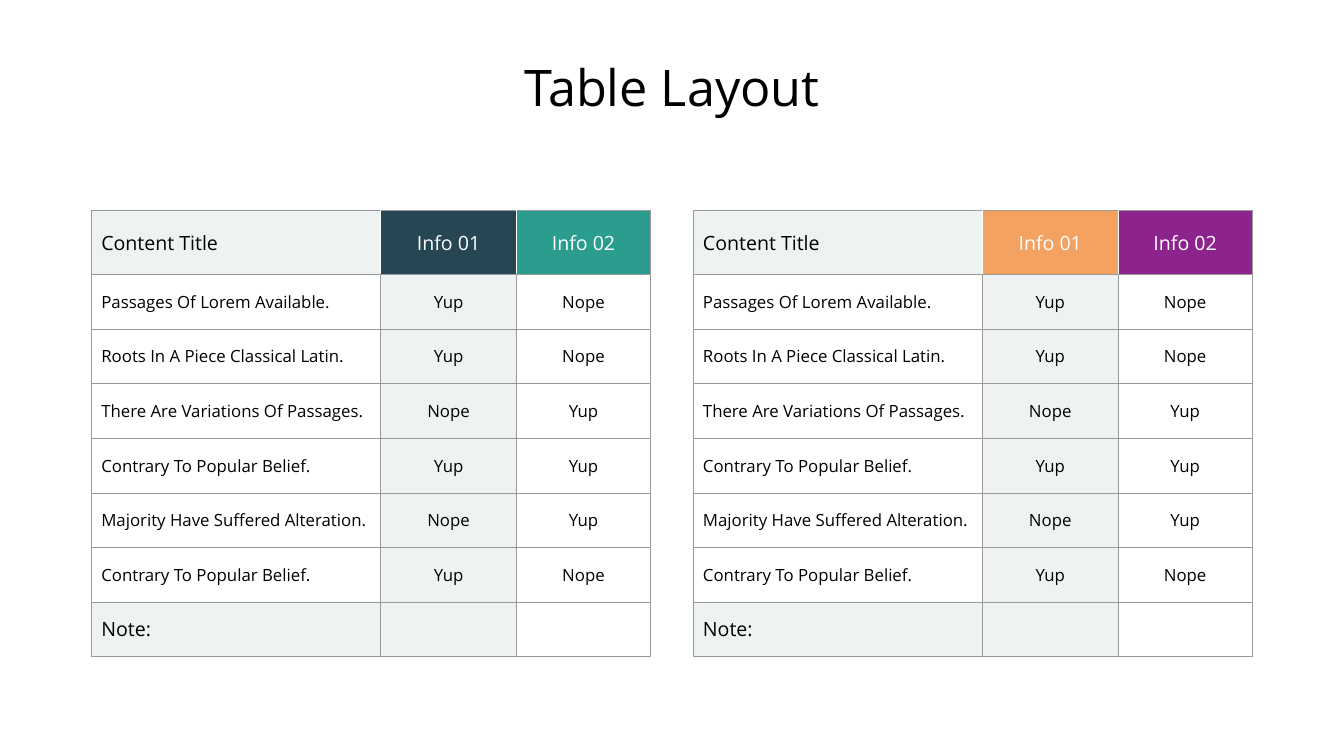
from dataclasses import dataclass

from lxml.etree import SubElement as Sub
from pptx import Presentation
from pptx.dml.color import RGBColor as Rgb
from pptx.enum.text import MSO_ANCHOR as Anchor, PP_ALIGN as Align
from pptx.oxml.ns import qn
from pptx.util import Pt

PX = 9525


@dataclass(frozen=True)
class Theme:
    face: str = "Open Sans"
    ink: str = "000000"
    white: str = "FFFFFF"
    pale: str = "EFF2F3"
    rule: str = "999999"
    navy: str = "264653"
    teal: str = "2A9D8F"
    amber: str = "F4A261"
    plum: str = "8D248D"
    title: int = 72
    head: int = 28
    body: int = 24


LOOK = Theme()
COLS = [551, 259, 255]
ROWS = [122] + [104] * 7
TABLES = [
    (174, [LOOK.pale, LOOK.navy, LOOK.teal]),
    (1320, [LOOK.pale, LOOK.amber, LOOK.plum]),
]
CELLS = [
    ("Content Title", "Info 01", "Info 02"),
    ("Passages Of Lorem Available.", "Yup", "Nope"),
    ("Roots In A Piece Classical Latin.", "Yup", "Nope"),
    ("There Are Variations Of Passages.", "Nope", "Yup"),
    ("Contrary To Popular Belief.", "Yup", "Yup"),
    ("Majority Have Suffered Alteration.", "Nope", "Yup"),
    ("Contrary To Popular Belief.", "Yup", "Nope"),
    ("Note:", "", ""),
]


def put_text(frame, text, size, color, align):
    para = frame.paragraphs[0]
    para.text = text
    para.alignment = align
    font = para.font
    font.name, font.size = LOOK.face, Pt(size)
    font.color.rgb = Rgb.from_string(color)


def add_title(slide, text, box):
    frame = slide.shapes.add_textbox(*(n * PX for n in box)).text_frame
    frame.word_wrap = True
    frame.vertical_anchor = Anchor.MIDDLE
    put_text(frame, text, LOOK.title, LOOK.ink, Align.CENTER)


def set_edges(cell, left, right):
    props = cell._tc.get_or_add_tcPr()
    edges = {"lnL": left, "lnR": right, "lnT": LOOK.rule, "lnB": LOOK.rule}
    for tag, color in edges.items():
        line = Sub(props, qn(f"a:{tag}"), w=str(Pt(1)))
        fill = Sub(line, qn("a:solidFill"))
        Sub(fill, qn("a:srgbClr"), val=color)


def set_fill(cell, color):
    if color:
        cell.fill.solid()
        cell.fill.fore_color.rgb = Rgb.from_string(color)
    else:
        cell.fill.background()


def fill_cell(cell, text, row, col, heads):
    top, note = row == 0, row == len(ROWS) - 1
    first, last = col == 0, col == len(COLS) - 1
    cell.margin_left = 19 * PX if first else 0
    cell.margin_right = cell.margin_top = cell.margin_bottom = 0
    cell.vertical_anchor = Anchor.MIDDLE
    inner = LOOK.white if top else LOOK.rule
    set_edges(cell, LOOK.rule if first else inner, LOOK.rule if last else inner)
    pale = col == 1 or (note and first)
    set_fill(cell, heads[col] if top else LOOK.pale if pale else None)
    size = LOOK.head if top or note else LOOK.body
    color = LOOK.white if top and not first else LOOK.ink
    align = Align.LEFT if first else Align.CENTER
    put_text(cell.text_frame, text, size, color, align)


def add_grid(slide, left, top, heads):
    box = (left, top, sum(COLS), sum(ROWS))
    spot = (n * PX for n in box)
    table = slide.shapes.add_table(len(ROWS), len(COLS), *spot).table
    table.first_row = table.horz_banding = False
    for col, wide in zip(table.columns, COLS):
        col.width = wide * PX
    for row, high in zip(table.rows, ROWS):
        row.height = high * PX
    for row, texts in enumerate(CELLS):
        for col, text in enumerate(texts):
            fill_cell(table.cell(row, col), text, row, col, heads)


def main():
    deck = Presentation()
    deck.slide_width, deck.slide_height = 2560 * PX, 1440 * PX
    slide = deck.slides.add_slide(deck.slide_layouts[6])
    for left, heads in TABLES:
        add_grid(slide, left, 401, heads)
    add_title(slide, "Table Layout", (176, 77, 2208, 175))
    deck.save("out.pptx")


if __name__ == "__main__":
    main()
